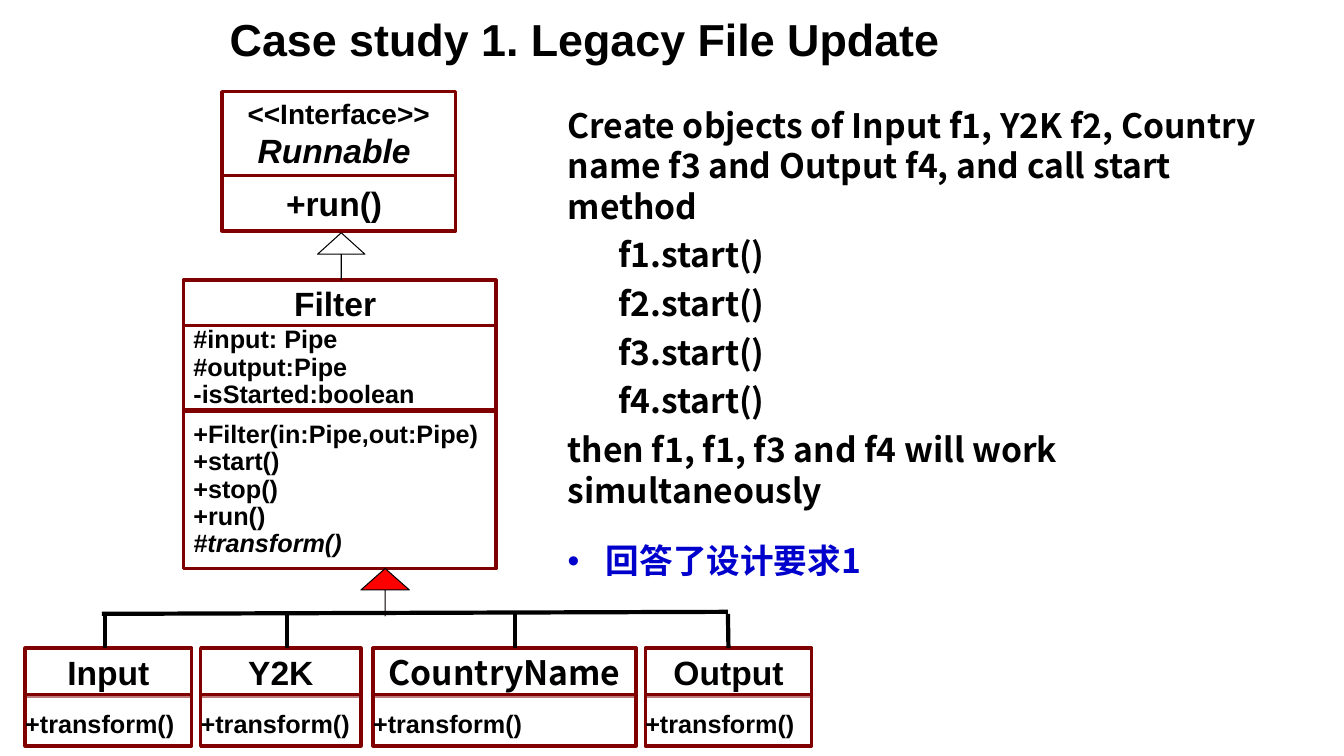
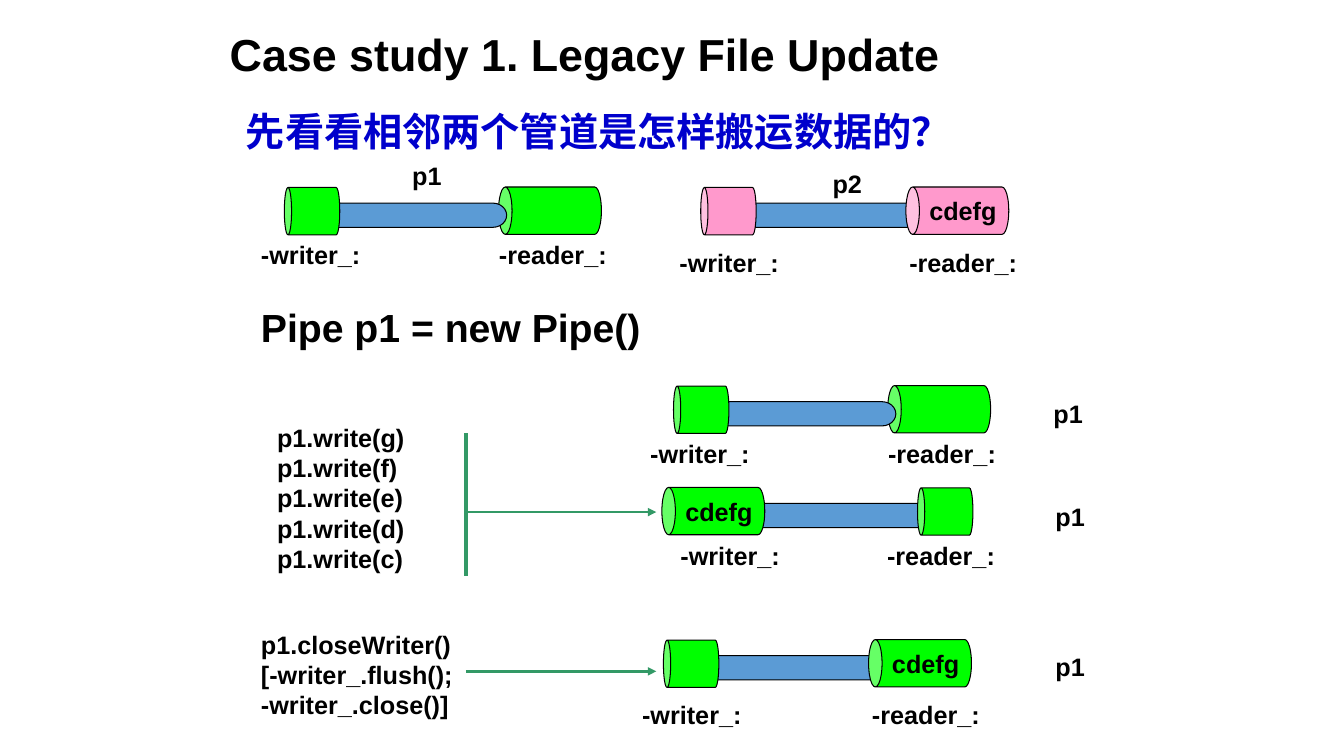
from lxml import etree
from pptx import Presentation
from pptx import util as u
from pptx.dml.color import RGBColor
from pptx.enum import shapes, text
from pptx.oxml.ns import qn

PX = 9144
COLORS = {
    "white": "FFFFFF", "black": "000000", "maroon": "800000", "red": "FF0000",
    "blue": "0000CC", "green": "00FF00", "pink": "FF99CC", "shaft": "5B9BD5",
    "arrow": "339966",
}
LATIN, CJK = "Arial", "Noto Sans CJK SC"
LEFT, CENTER, JUSTIFY = text.PP_ALIGN.LEFT, text.PP_ALIGN.CENTER, text.PP_ALIGN.JUSTIFY
SHAPE = shapes.MSO_SHAPE
PIPES = {
    "empty": ([("big", 213), ("shaft", 16), ("small", 0)], (-33, 203), 24),
    "reader": ([("shaft", 23), ("small", 0), ("big", 204)], (-31, 197), 31),
    "writer": ([("shaft", 63), ("small", 253), ("big", 0)], (8, 213), 24),
}
CANS = {"big": (102, 47, 0.284, 0), "small": (55, 47, 0.153, 0), "shaft": (205, 24, 1.133, 4)}


class Sketch:
    """Draws styled elements on the current slide of a deck."""

    def __init__(self):
        self.deck = Presentation()
        self.deck.slide_width, self.deck.slide_height = 1333 * PX, 750 * PX
        self.page = None

    def color(self, name):
        return RGBColor.from_string(COLORS[name])

    def new_page(self, title_top):
        self.page = self.deck.slides.add_slide(self.deck.slide_layouts[6])
        self.label(218, title_top, 906, 59, ["Case study 1. Legacy File Update"],
                   wrap=True, size=32, align=JUSTIFY, spacing=0.9)

    def add_lines(self, frame, lines, **style):
        for number, line in enumerate(lines):
            para = frame.paragraphs[0] if number == 0 else frame.add_paragraph()
            words, changes = line if isinstance(line, tuple) else (line, {})
            para.add_run().text = words
            self.style_para(para, number == 0, **{**style, **changes})

    def style_para(self, para, first, size=18, font=LATIN, color="black", italic=False,
                   align=LEFT, spacing=None, before=0, level=0, margin=0, bullet=None):
        props = para._p.get_or_add_pPr()
        if margin:
            props.set("marL", str(margin * PX))
            props.set("indent", str(-margin * PX if bullet else 0))
        if bullet:
            etree.SubElement(props, qn("a:buFont")).set("typeface", LATIN)
            etree.SubElement(props, qn("a:buChar")).set("char", bullet)
        para.level, para.alignment = level, align
        if spacing:
            para.line_spacing = spacing
        if before and not first:
            para.space_before = u.Pt(before)
        para.font.size, para.font.bold, para.font.italic = u.Pt(size), True, italic
        para.font.name = font
        para.font.color.rgb = self.color(color)
        if font == CJK:
            etree.SubElement(props.find(qn("a:defRPr")), qn("a:ea")).set("typeface", font)

    def label(self, left, top, width, height, lines, wrap=False, inset=10, **style):
        box = self.page.shapes.add_textbox(left * PX, top * PX, width * PX, height * PX)
        frame = box.text_frame
        frame.word_wrap = wrap
        frame.auto_size = text.MSO_AUTO_SIZE.SHAPE_TO_FIT_TEXT
        frame.margin_left = frame.margin_right = inset * PX
        self.add_lines(frame, lines, **style)

    def shape(self, kind, left, top, width, height, fill, line="black", weight=0.75, adjust=()):
        shape = self.page.shapes.add_shape(kind, left * PX, top * PX, width * PX, height * PX)
        shape.shadow.inherit = False
        shape.fill.solid()
        shape.fill.fore_color.rgb = self.color(fill)
        shape.line.color.rgb = self.color(line)
        shape.line.width = u.Pt(weight)
        for index, value in enumerate(adjust):
            shape.adjustments[index] = value
        return shape

    def cell(self, left, top, width, height, lines, inset=10, clear=False, **style):
        box = self.shape(SHAPE.RECTANGLE, left, top, width, height, "white", "maroon", 2.5)
        if clear:
            fill = box.element.spPr.find(qn("a:solidFill"))
            etree.SubElement(fill[0], qn("a:alpha")).set("val", "48000")
        frame = box.text_frame
        frame.word_wrap = style.get("align") != CENTER
        frame.vertical_anchor = text.MSO_ANCHOR.MIDDLE
        frame.margin_left = inset * PX
        self.add_lines(frame, lines, **style)
        return box

    def inherit_arrow(self, left, top, width, fill):
        self.shape(SHAPE.UP_ARROW, left, top, width, 47, fill, adjust=(0, 0.453))

    def line(self, start, end, color="black", weight=3, arrow=False, target=None):
        points = [value * PX for value in (*start, *end)]
        line = self.page.shapes.add_connector(shapes.MSO_CONNECTOR.STRAIGHT, *points)
        if target is not None:
            line.end_connect(target, 0)
        line.line.color.rgb = self.color(color)
        line.line.width = u.Pt(weight)
        if arrow:
            outline = line.element.spPr.find(qn("a:ln"))
            etree.SubElement(outline, qn("a:tailEnd")).set("type", "triangle")
        etree.SubElement(line.element.spPr, qn("a:effectLst"))

    def can(self, left, middle, length, thick, cap, fill, words=None):
        can = self.shape(SHAPE.CAN, left + (length - thick) // 2, middle - length // 2,
                         thick, length, fill, adjust=(cap,))
        can.rotation = 270
        if words:
            frame = can.text_frame
            frame.word_wrap = False
            frame.vertical_anchor = text.MSO_ANCHOR.MIDDLE
            can.element.txBody.find(qn("a:bodyPr")).set("vert", "eaVert")
            self.add_lines(frame, [words], align=CENTER)

    def pipe(self, state, left, middle, name, name_left, name_top, fill="green"):
        parts, (writer, reader), drop = PIPES[state]
        for part, offset in parts:
            length, thick, cap, shift = CANS[part]
            words = "cdefg" if part == "big" and state != "empty" else None
            self.can(left + offset, middle + shift, length, thick, cap,
                     "shaft" if part == "shaft" else fill, words)
        self.label(left + writer, middle + drop, 119, 40, ["-writer_:"])
        self.label(left + reader, middle + drop, 127, 40, ["-reader_:"])
        self.label(name_left, name_top, 49, 40, [name])


def class_page(sketch):
    sketch.new_page(13)
    call = {"level": 1, "margin": 50}
    sketch.label(563, 99, 721, 488, [
        "Create objects of Input f1, Y2K f2, Country name f3 and Output f4, and call start method",
        *[(f"f{number}.start()", call) for number in range(1, 5)],
        "then f1, f1, f3 and f4 will work simultaneously",
        ("回答了设计要求1", {"color": "blue", "margin": 38, "bullet": "•",
                       "spacing": 0.9, "before": 25}),
    ], wrap=True, inset=0, size=24, font=CJK, before=6)

    heading = {"size": 24, "align": CENTER}
    sketch.cell(220, 91, 232, 83, [("<<Interface>>", {"size": 20}),
                                   ("Runnable ", {"italic": True})], **heading)
    sketch.cell(220, 174, 232, 55, ["+run() "], **heading)
    sketch.cell(182, 278, 310, 45, ["Filter "], **heading)
    sketch.cell(182, 323, 310, 84, ["#input: Pipe", "#output:Pipe", "-isStarted:boolean"],
                spacing=0.9)
    sketch.cell(182, 408, 310, 156, ["+Filter(in:Pipe,out:Pipe)", "+start()", "+stop()", "+run()",
                                     ("#transform()", {"italic": True})], spacing=0.9)
    sketch.inherit_arrow(315, 231, 47, "white")
    sketch.line((101, 609), (722, 607))
    sketch.inherit_arrow(358, 564, 48, "red")

    for name, left, width, stem, font in [
        ("Input", 25, 165, 104, LATIN), ("Y2K", 199, 159, 285, LATIN),
        ("CountryName", 370, 261, 511, CJK), ("Output", 640, 165, 722, LATIN),
    ]:
        top = sketch.cell(left, 643, width, 48, [name], clear=True, font=font, **heading)
        method = sketch.cell(left, 689, width, 51, ["+transform()"], inset=0, clear=True)
        span = method.text_frame.paragraphs[0].add_run()
        span.text, span.font.size = " ", u.Pt(24)
        centered = abs(left + width / 2 - stem) <= 1
        sketch.line((stem, 609), (stem, 643), target=top if centered else None)


def pipe_page(sketch):
    sketch.new_page(28)
    sketch.label(234, 107, 698, 71, ["先看看相邻两个管道是怎样搬运数据的？"], wrap=True,
                 size=28, font=CJK, color="blue", spacing=0.9)
    sketch.label(249, 296, 397, 57, ["Pipe p1 = new Pipe()"], size=28)
    sketch.label(265, 414, 197, 160, [f"p1.write({letter})" for letter in "gfedc"], wrap=True)
    sketch.label(249, 619, 252, 100, ["p1.closeWriter()", "[-writer_.flush();",
                                      "-writer_.close()]"], wrap=True)
    sketch.pipe("empty", 282, 209, "p1", 399, 154)
    sketch.pipe("reader", 695, 209, "p2", 816, 162, fill="pink")
    sketch.pipe("empty", 668, 406, "p1", 1035, 390)
    sketch.pipe("writer", 657, 507, "p1", 1037, 492)
    sketch.pipe("reader", 658, 658, "p1", 1037, 641)
    sketch.line((462, 430), (462, 571), "arrow")
    for middle in (508, 666):
        sketch.line((462, middle), (651, middle), "arrow", 2, arrow=True)


def main():
    sketch = Sketch()
    class_page(sketch)
    pipe_page(sketch)
    sketch.deck.save("out.pptx")


if __name__ == "__main__":
    main()
